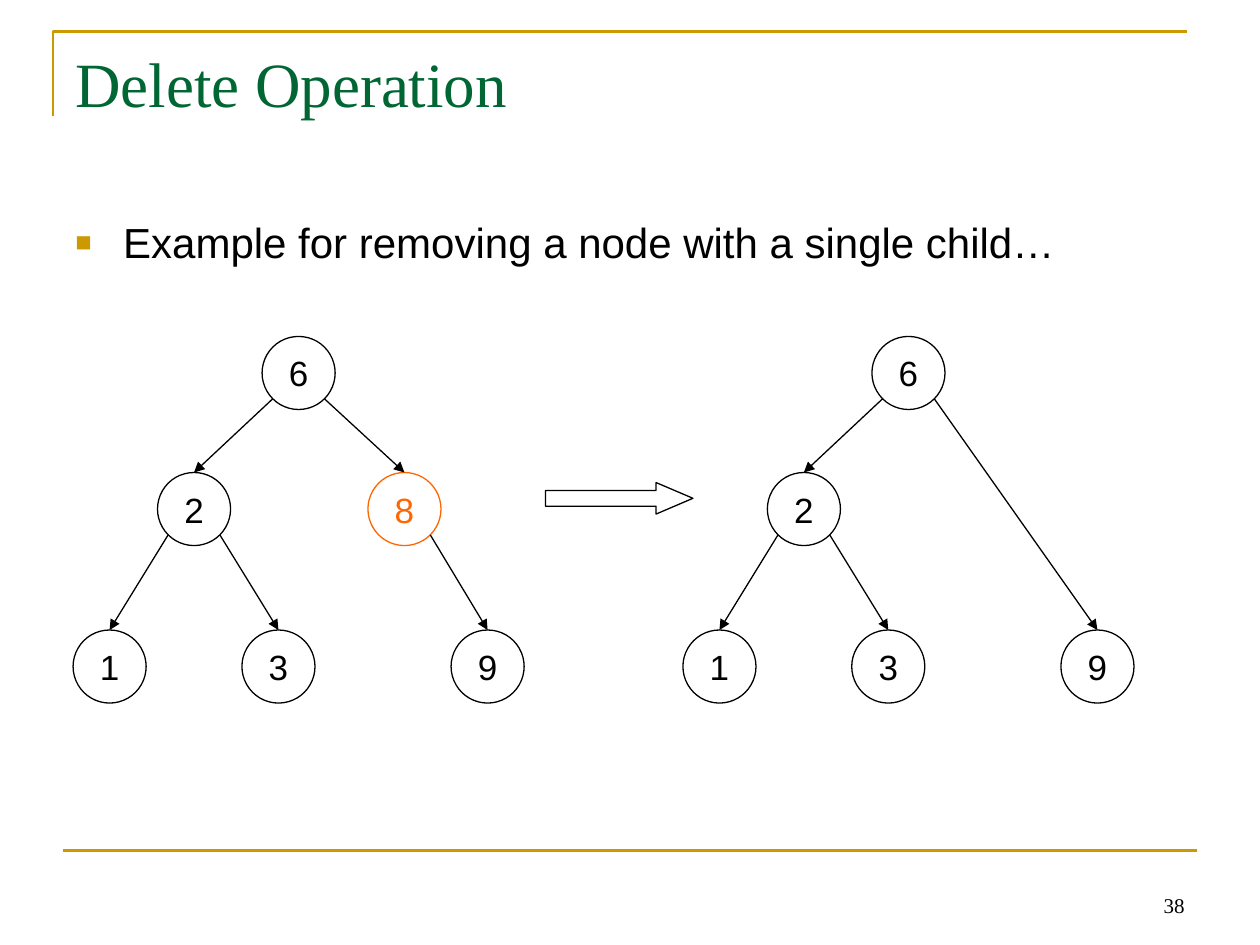
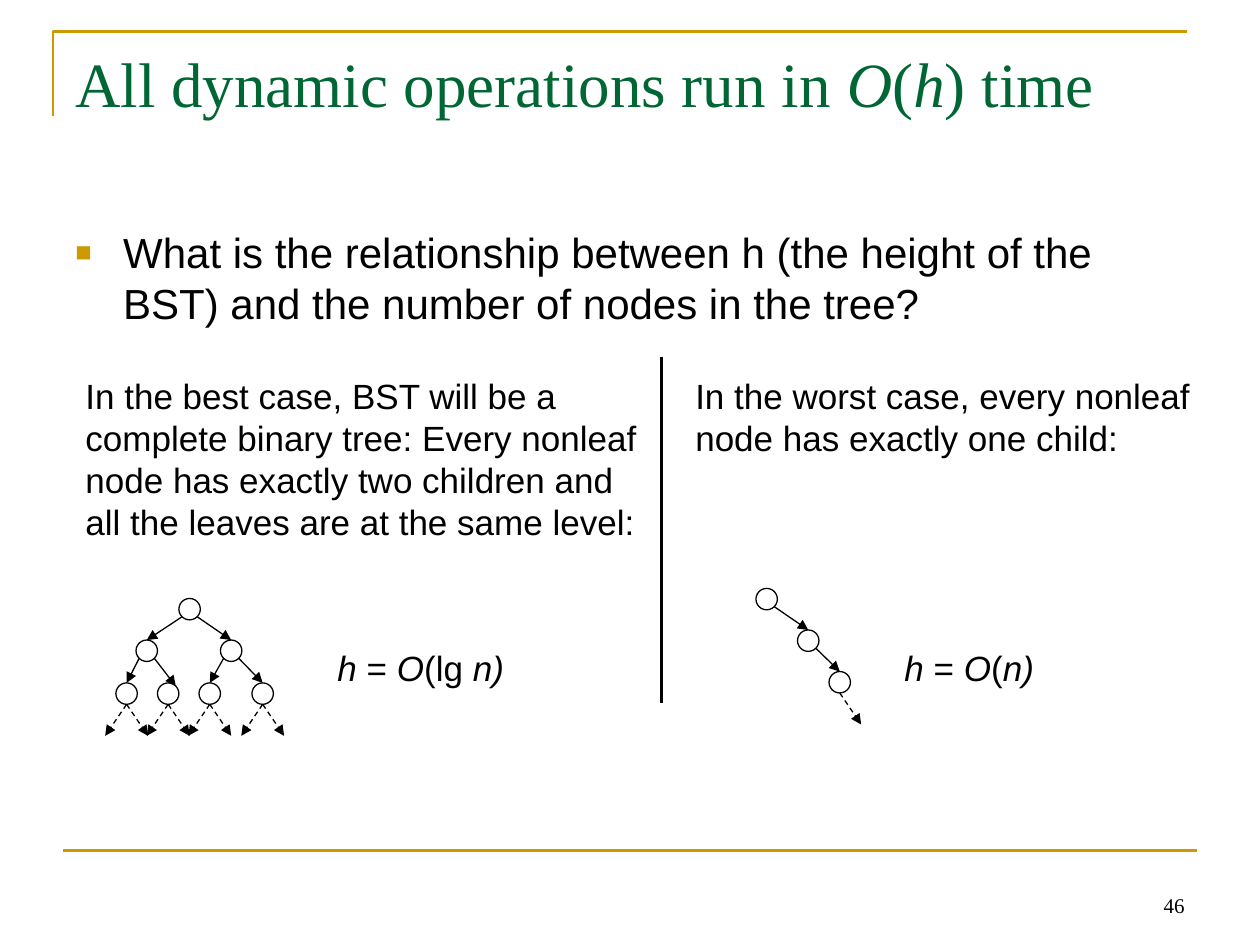
import math

import pptx
import pptx.dml.color
import pptx.enum.dml
import pptx.enum.shapes
import pptx.enum.text
import pptx.oxml
import pptx.oxml.ns
import pptx.util

Inches = pptx.util.Inches
SHAPE = pptx.enum.shapes.MSO_SHAPE
ALIGN = pptx.enum.text.PP_ALIGN
ANCHOR = pptx.enum.text.MSO_ANCHOR

GOLD, GREEN, BLACK, ORANGE = "CC9900", "006633", "000000", "FF6600"
SANS, SERIF = "Arial", "Times New Roman"

# Words between asterisks are set in italics.
DELETE = {
    "title": "Delete Operation",
    "number": "38",
    "bullet": "Example for removing a node with a single child…",
    "bullet_top": 1.67,
}
RUNNING_TIME = {
    "title": "All dynamic operations run in *O*(*h*) time",
    "number": "46",
    "bullet": "What is the relationship between h (the height of the BST) "
              "and the number of nodes in the tree?",
    "bullet_top": 1.75,
}

NODE_SIZE = 0.58
BEFORE_NODES = {"6": (2.08, 2.67), "2": (1.25, 3.75), "8": (2.92, 3.75),
                "1": (0.58, 5), "3": (1.92, 5), "9": (3.58, 5)}
BEFORE_EDGES = [("6", "2"), ("6", "8"), ("2", "1"), ("2", "3"), ("8", "9")]
AFTER_SHIFT = 4.84
AFTER_NODES = {key: (x + AFTER_SHIFT, y)
               for key, (x, y) in BEFORE_NODES.items() if key != "8"}
AFTER_EDGES = [("6", "2"), ("2", "1"), ("2", "3"), ("6", "9")]
RESULT_ARROW = (4.33, 3.83, 1.17, 0.25)

SMALL_SIZE = 0.17
BEST_NODES = {"root": (1.42, 4.75), "left": (1.08, 5.08), "right": (1.75, 5.08),
              "leaf 1": (0.92, 5.42), "leaf 2": (1.25, 5.42),
              "leaf 3": (1.58, 5.42), "leaf 4": (2, 5.42)}
BEST_EDGES = [("root", "left"), ("root", "right"), ("left", "leaf 1"),
              ("right", "leaf 3"), ("right", "leaf 4")]
BEST_CORNER_EDGE = ("left", "leaf 2")
BEST_LEAVES = ["leaf 1", "leaf 2", "leaf 3", "leaf 4"]
WORST_NODES = {"root": (6, 4.67), "middle": (6.33, 5), "last": (6.58, 5.33)}
WORST_EDGES = [("root", "middle"), ("middle", "last")]
CONTINUATION = (0.17, 0.25)

CASES = [
    ((0.58, 2.92, 4.83, 1.45),
     ["In the best case, BST will be a complete binary tree: Every nonleaf "
      "node has exactly two children and",
      "all the leaves are at the same level:"]),
    ((2.58, 5.08, 2, 0.43), ["*h* = *O*(lg *n)*"]),
    ((5.42, 2.92, 4.5, 0.77),
     ["In the worst case, every nonleaf node has exactly one child:"]),
    ((7.08, 5.08, 2, 0.43), ["*h* = *O*(*n)*"]),
]


def rgb(color):
    return pptx.dml.color.RGBColor.from_string(color)


def inches(values):
    return [Inches(value) for value in values]


def xml_child(parent, tag, **attributes):
    child = pptx.oxml.parse_xml(f"<a:{tag} {pptx.oxml.ns.nsdecls('a')}/>")
    for name, value in attributes.items():
        child.set(name, value)
    parent.append(child)
    return child


def add_bullet(paragraph):
    properties = paragraph._p.get_or_add_pPr()
    properties.set("marL", str(Inches(0.38)))
    properties.set("indent", str(-Inches(0.38)))
    xml_child(xml_child(properties, "buClr"), "srgbClr", val=GOLD)
    xml_child(properties, "buSzPct", val="65000")
    xml_child(properties, "buFont", typeface=SANS)
    xml_child(properties, "buChar", char="■")


def write(frame, paragraphs, size=20, font=SANS, color=BLACK, align=ALIGN.LEFT,
          anchor=ANCHOR.TOP, wrap=True, bullet=False):
    frame.word_wrap = wrap
    frame.vertical_anchor = anchor
    for index, words in enumerate(paragraphs):
        paragraph = frame.add_paragraph() if index else frame.paragraphs[0]
        if bullet:
            add_bullet(paragraph)
        paragraph.alignment = align
        for part, piece in enumerate(words.split("*")):
            if piece:
                run = paragraph.add_run()
                run.text = piece
                run.font.size = pptx.util.Pt(size)
                run.font.name = font
                run.font.italic = part % 2 == 1
                run.font.color.rgb = rgb(color)


def write_box(slide, box, paragraphs, **style):
    write(slide.shapes.add_textbox(*inches(box)).text_frame, paragraphs, **style)


def outline(shape, color=BLACK, width=0.75):
    shape.shadow.inherit = False
    shape.fill.background()
    shape.line.color.rgb = rgb(color)
    shape.line.width = pptx.util.Pt(width)


def add_line(slide, start, end, color=BLACK, width=0.75, arrow=False, dashed=False):
    line = slide.shapes.add_connector(
        pptx.enum.shapes.MSO_CONNECTOR.STRAIGHT, *inches(start + end))
    line.line.color.rgb = rgb(color)
    line.line.width = pptx.util.Pt(width)
    if dashed:
        line.line.dash_style = pptx.enum.dml.MSO_LINE.DASH
    if arrow:
        xml_child(line.line._get_or_add_ln(), "tailEnd", type="triangle")
    xml_child(line._element.spPr, "effectLst")
    return line


def rim(corner, size, side, vertical):
    reach = size / 2 * math.sqrt(0.5)
    return (corner[0] + size / 2 + side * reach,
            corner[1] + size / 2 + vertical * reach)


def draw_tree(slide, nodes, edges, size, labelled=False, removed=None):
    circles = {}
    for key, corner in nodes.items():
        color = ORANGE if key == removed else BLACK
        circle = slide.shapes.add_shape(SHAPE.OVAL, *inches((*corner, size, size)))
        outline(circle, color)
        circles[key] = circle
        if labelled:
            frame = circle.text_frame
            frame.margin_left = frame.margin_right = 0
            frame.margin_top = frame.margin_bottom = 0
            write(frame, [key], color=color, align=ALIGN.CENTER,
                  anchor=ANCHOR.MIDDLE, wrap=False)
    for parent, child in edges:
        side = 1 if nodes[child][0] > nodes[parent][0] else -1
        edge = add_line(slide, rim(nodes[parent], size, side, 1), nodes[child],
                        arrow=True)
        edge.end_connect(circles[child], 0)


def draw_continuations(slide, corner, sides):
    x, y = corner[0] + SMALL_SIZE / 2, corner[1] + SMALL_SIZE
    across, down = CONTINUATION
    for side in sides:
        add_line(slide, (x, y), (x + side * across, y + down),
                 arrow=True, dashed=True)


def start_slide(deck, content):
    slide = deck.slides.add_slide(deck.slide_layouts[6])
    corner = slide.shapes.build_freeform(Inches(0.42), Inches(0.92))
    corner.add_line_segments([inches((0.42, 0.25)), inches((9.42, 0.25))],
                             close=False)
    outline(corner.convert_to_shape(), GOLD, 1.5)
    add_line(slide, (0.5, 6.75), (9.5, 6.75), GOLD, 1.5)
    write_box(slide, (7.17, 6.83, 2.33, 0.5), [content["number"]], size=12,
              font=SERIF, align=ALIGN.RIGHT, anchor=ANCHOR.BOTTOM)
    write_box(slide, (0.5, 0.3, 9, 1.25), [content["title"]], size=36,
              font=SERIF, color=GREEN)
    write_box(slide, (0.5, content["bullet_top"], 9, 4.95), [content["bullet"]],
              size=24, bullet=True)
    return slide


def build_delete(deck):
    slide = start_slide(deck, DELETE)
    draw_tree(slide, BEFORE_NODES, BEFORE_EDGES, NODE_SIZE, True, removed="8")
    draw_tree(slide, AFTER_NODES, AFTER_EDGES, NODE_SIZE, True)
    arrow = slide.shapes.add_shape(SHAPE.RIGHT_ARROW, *inches(RESULT_ARROW))
    arrow.adjustments[0] = 0.5
    arrow.adjustments[1] = 1.17
    outline(arrow)


def build_running_time(deck):
    slide = start_slide(deck, RUNNING_TIME)
    draw_tree(slide, BEST_NODES, BEST_EDGES, SMALL_SIZE)
    parent, child = (BEST_NODES[key] for key in BEST_CORNER_EDGE)
    add_line(slide, rim(parent, SMALL_SIZE, 1, 1), rim(child, SMALL_SIZE, 1, -1),
             arrow=True)
    for leaf in BEST_LEAVES:
        draw_continuations(slide, BEST_NODES[leaf], (-1, 1))
    draw_tree(slide, WORST_NODES, WORST_EDGES, SMALL_SIZE)
    draw_continuations(slide, WORST_NODES["last"], (1,))
    add_line(slide, (5.25, 2.83), (5.25, 5.58), width=2.25)
    for box, paragraphs in CASES:
        write_box(slide, box, paragraphs)


def main():
    deck = pptx.Presentation()
    deck.slide_width, deck.slide_height = Inches(10), Inches(7.5)
    build_delete(deck)
    build_running_time(deck)
    deck.save("out.pptx")


if __name__ == "__main__":
    main()
